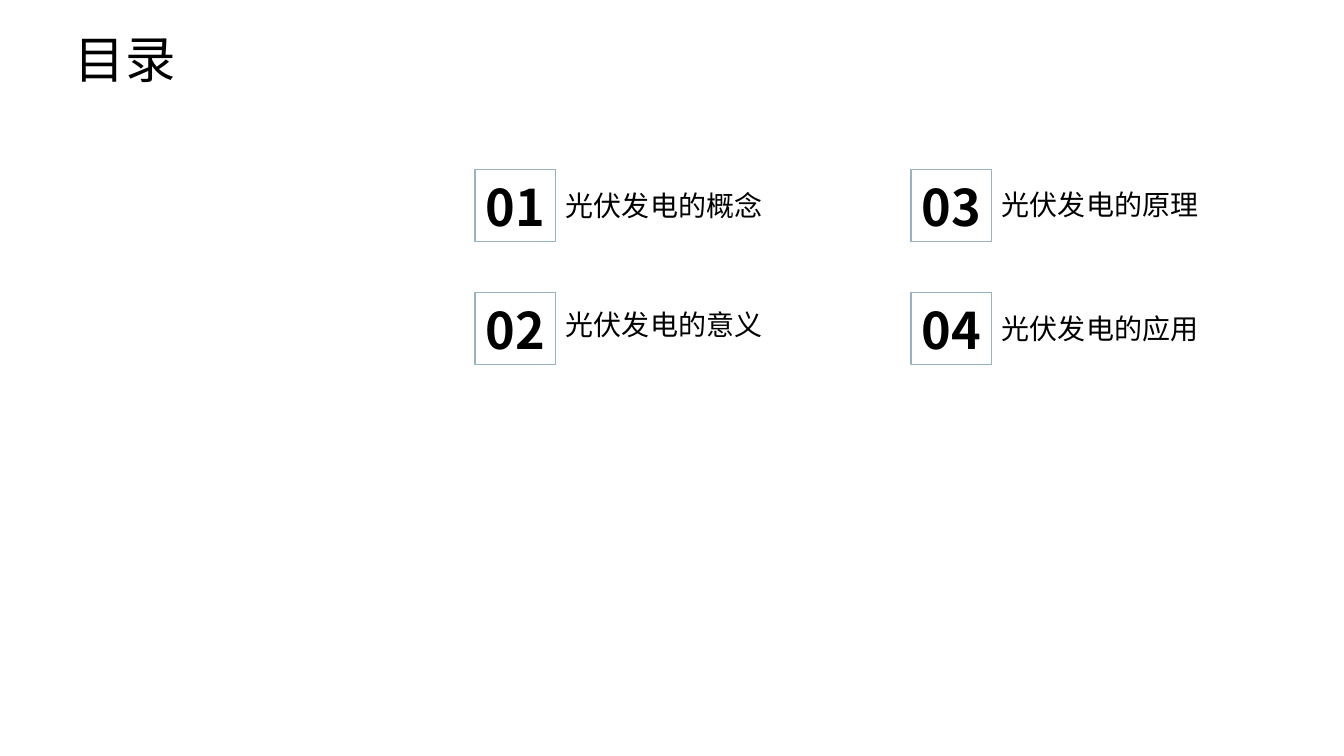
"""Build the contents slide with a title and four numbered topics."""
from pptx import Presentation
from pptx.dml.color import RGBColor
from pptx.enum.lang import MSO_LANGUAGE_ID
from pptx.enum.shapes import MSO_SHAPE
from pptx.enum.text import MSO_ANCHOR, PP_ALIGN
from pptx.oxml.ns import qn
from pptx.util import Pt
from lxml.etree import SubElement

TITLE = "目录"
TOPICS = [
    ("01", "光伏发电的概念", 184),
    ("02", "光伏发电的意义", 303),
    ("03", "光伏发电的原理", 183),
    ("04", "光伏发电的应用", 307),
]
BLACK = RGBColor(0x00, 0x00, 0x00)
STEEL = RGBColor(0x97, 0xB2, 0xC3)
TITLE_FONT = "Calibri"
BODY_FONT = "Noto Sans CJK SC"

ROWS = 2
LEFT, TOP = 475, 170
COLUMN_STEP, ROW_STEP = 436, 123
BADGE_WIDTH, BADGE_HEIGHT = 81, 72
LABEL_WIDTH, LABEL_HEIGHT = 338, 44


def px(length):
    """Turn px into EMU."""
    return round(length * 914400 / 100.8)


def write(box, text, size, font_name, align, anchor, bold=False):
    """Put one styled paragraph into a box."""
    frame = box.text_frame
    frame.word_wrap = True
    frame.vertical_anchor = anchor
    para = frame.paragraphs[0]
    para.text = text
    para.alignment = align
    font = para.font
    font.size = Pt(size)
    font.bold = bold
    font.name = font_name
    font.color.rgb = BLACK
    font.language_id = MSO_LANGUAGE_ID.SIMPLIFIED_CHINESE
    properties = para._p.pPr.find(qn("a:defRPr"))
    SubElement(properties, qn("a:ea")).set("typeface", BODY_FONT)


def add_topic(page, index, number, label, label_top):
    """Add a framed number and the topic beside it."""
    column, row = divmod(index, ROWS)
    left = LEFT + column * COLUMN_STEP
    top = TOP + row * ROW_STEP
    badge = page.shapes.add_shape(
        MSO_SHAPE.RECTANGLE, px(left), px(top), px(BADGE_WIDTH), px(BADGE_HEIGHT))
    badge.shadow.inherit = False
    badge.fill.background()
    badge.line.color.rgb = STEEL
    badge.line.width = Pt(0.75)
    write(badge, number, 36, BODY_FONT, PP_ALIGN.CENTER, MSO_ANCHOR.MIDDLE, True)
    box = page.shapes.add_textbox(
        px(left + BADGE_WIDTH), px(label_top), px(LABEL_WIDTH), px(LABEL_HEIGHT))
    write(box, label, 20, BODY_FONT, PP_ALIGN.LEFT, MSO_ANCHOR.TOP)


def main():
    """Build and save the deck."""
    deck = Presentation()
    deck.slide_width, deck.slide_height = px(1344), px(756)
    page = deck.slides.add_slide(deck.slide_layouts[6])
    title = page.shapes.add_textbox(px(65), px(23), px(199), px(72))
    write(title, TITLE, 36, TITLE_FONT, PP_ALIGN.JUSTIFY, MSO_ANCHOR.TOP)
    for index, topic in enumerate(TOPICS):
        add_topic(page, index, *topic)
    deck.save("out.pptx")


if __name__ == "__main__":
    main()
